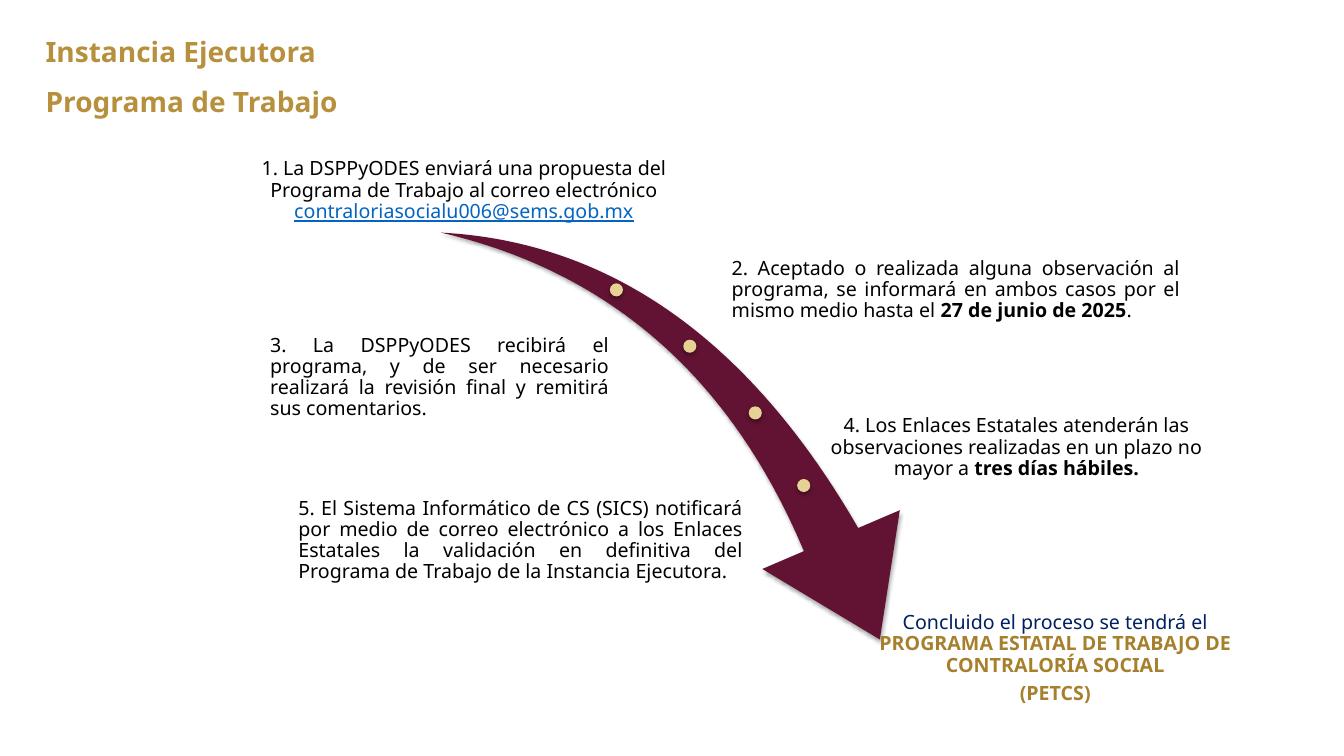
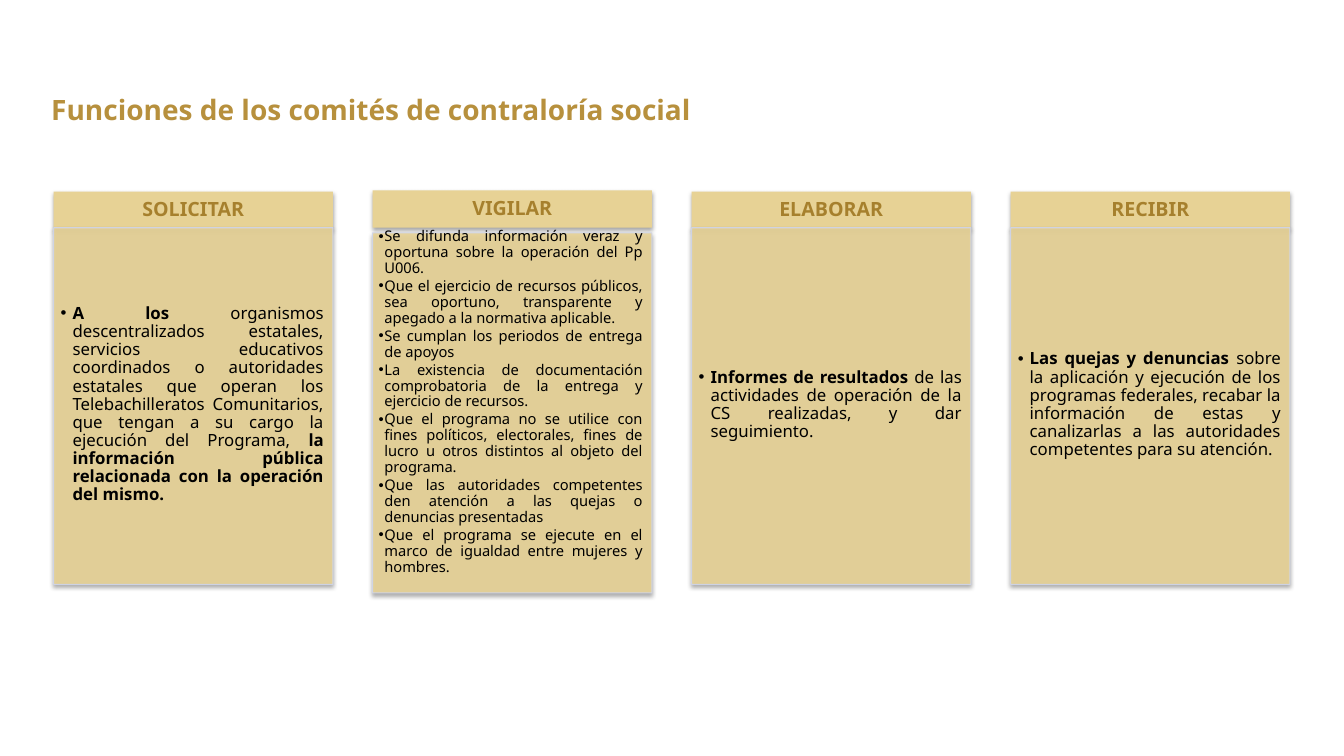
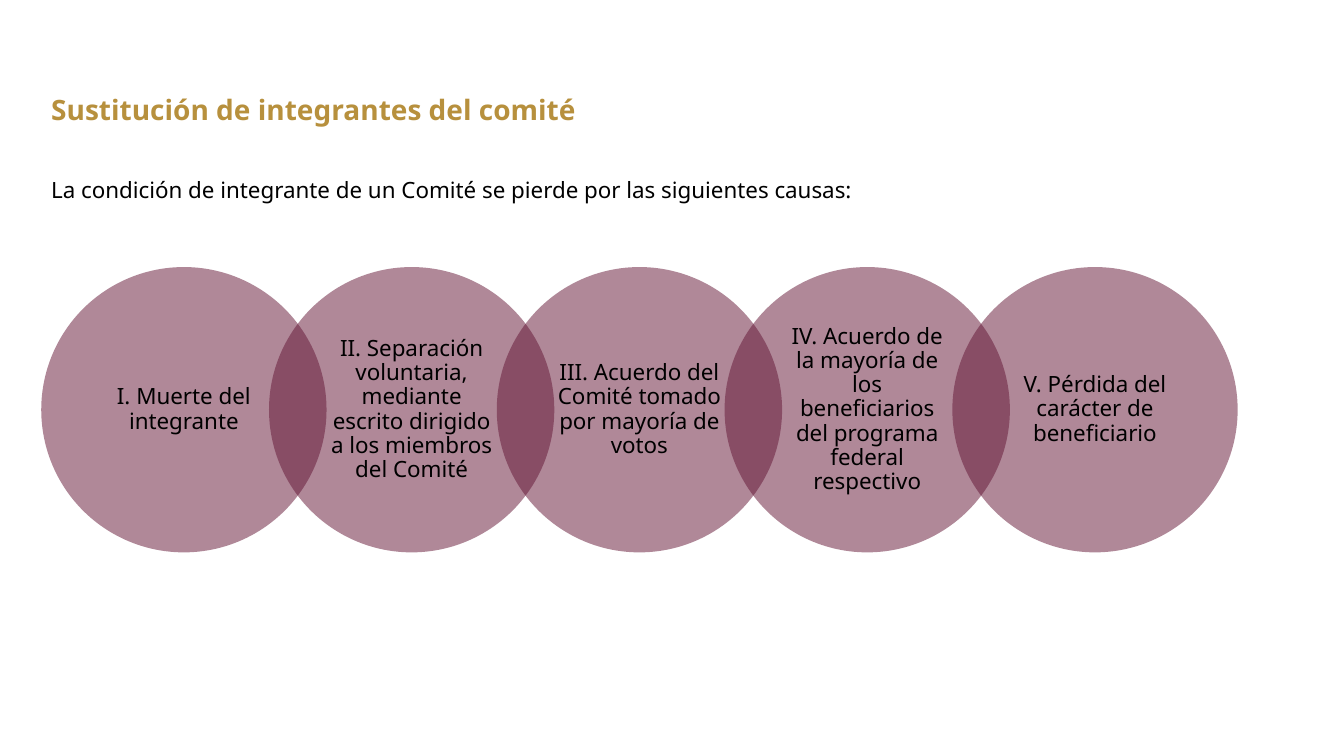
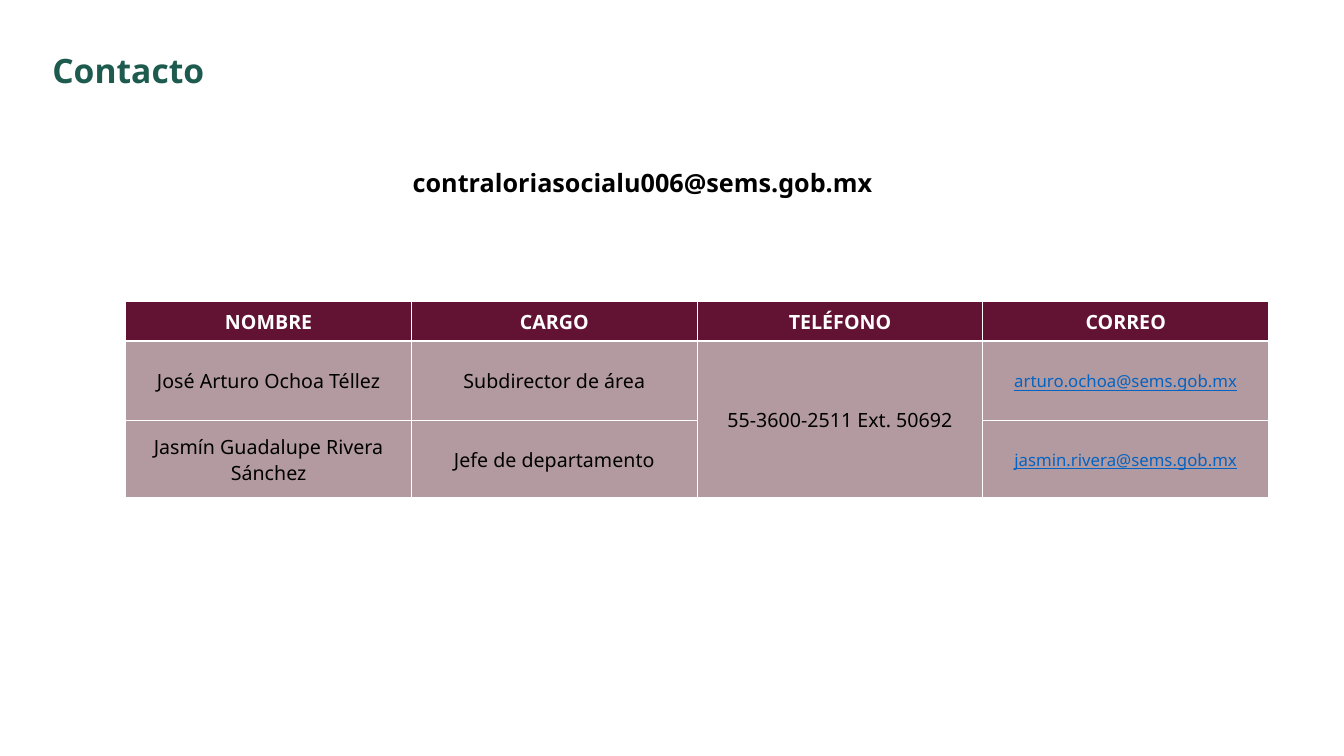
from lxml import etree
from pptx import Presentation
from pptx.dml.color import RGBColor
from pptx.enum.shapes import MSO_SHAPE
from pptx.enum.text import MSO_ANCHOR, PP_ALIGN
from pptx.oxml.ns import qn
from pptx.util import Cm, Pt

RECT, OVAL, SWOOSH = MSO_SHAPE.RECTANGLE, MSO_SHAPE.OVAL, MSO_SHAPE.SWOOSH_ARROW
TOP, MID, LOW = MSO_ANCHOR.TOP, MSO_ANCHOR.MIDDLE, MSO_ANCHOR.BOTTOM
LEFT, CENTER, FULL = PP_ALIGN.LEFT, PP_ALIGN.CENTER, PP_ALIGN.JUSTIFY

FONT = "Noto Sans"
BLACK = RGBColor(0x00, 0x00, 0x00)
WHITE = RGBColor(0xFF, 0xFF, 0xFF)
WINE = RGBColor(0x62, 0x13, 0x33)
ROSE = RGBColor(0xB2, 0x9A, 0xA0)
SAND = RGBColor(0xE7, 0xD2, 0x95)
GOLD = RGBColor(0xB7, 0x90, 0x3D)
OCHRE = RGBColor(0xA6, 0x80, 0x2D)
GREEN = RGBColor(0x1E, 0x5B, 0x4F)
NAVY = RGBColor(0x00, 0x20, 0x60)
BLUE = RGBColor(0x05, 0x63, 0xC1)
MIST = RGBColor(0xCF, 0xD5, 0xEA)

# Run styles: colour, bold, underline
PLAIN = (BLACK, False, False)
BOLD = (BLACK, True, False)
LINK = (BLUE, False, True)
TITLE = (GOLD, True, False)
HEAD = (OCHRE, True, False)
CLOSE = (NAVY, False, False)
CONTACT = (GREEN, True, False)
LABEL = (WHITE, True, False)

PAD = (0.25, 0.13, 0.25, 0.13)
THIN = (0.05, 0.05, 0.05, 0.05)


def write(item, paras, size, align=LEFT, anchor=TOP, pad=PAD, lines=1, after=0, hang=0):
    """Fill a shape or cell with paragraphs, each a list of (text, style) runs."""
    frame = item.text_frame
    host = item if hasattr(item, "vertical_anchor") else frame
    host.vertical_anchor = anchor
    host.margin_left, host.margin_top, host.margin_right, host.margin_bottom = map(Cm, pad)
    frame.word_wrap = True
    for i, runs in enumerate(paras):
        para = frame.add_paragraph() if i else frame.paragraphs[0]
        para.alignment = align
        para.line_spacing = lines
        para.space_after = Pt(after)
        if hang:
            props = para._p.get_or_add_pPr()
            props.set("marL", str(Cm(hang)))
            props.set("indent", str(-Cm(hang)))
            tint = etree.SubElement(props, qn("a:buClr"))
            etree.SubElement(tint, qn("a:srgbClr"), val=str(BLACK))
            etree.SubElement(props, qn("a:buFont"), typeface="Arial")
            etree.SubElement(props, qn("a:buChar"), char="•")
        for text, (color, bold, under) in runs:
            run = para.add_run()
            run.text = text
            run.font.name = FONT
            run.font.size = Pt(size)
            run.font.color.rgb = color
            run.font.bold = bold
            run.font.underline = under


def draw(slide, kind, at, fill, alpha=100, edge=None, shadow=True):
    """Add a filled shape, with optional transparency, edge and soft shadow."""
    shape = slide.shapes.add_shape(kind, *map(Cm, at))
    shape.fill.solid()
    shape.fill.fore_color.rgb = fill
    if edge is None:
        shape.line.fill.background()
    else:
        shape.line.color.rgb = edge
        shape.line.width = Pt(0.75)
    props = shape.element.spPr
    if alpha < 100:
        for color in list(props.iter(qn("a:srgbClr"))):
            etree.SubElement(color, qn("a:alpha"), val=str(alpha * 1000))
    shape.shadow.inherit = False
    if shadow:
        soft = etree.SubElement(
            props.find(qn("a:effectLst")), qn("a:outerShdw"), blurRad=str(Pt(3.1)),
            dist=str(Pt(1.8)), dir="5400000", rotWithShape="0")
        color = etree.SubElement(soft, qn("a:srgbClr"), val=str(BLACK))
        etree.SubElement(color, qn("a:alpha"), val="35000")
    return shape


deck = Presentation()
deck.slide_width, deck.slide_height = Cm(33.87), Cm(19.05)
blank = deck.slide_layouts[6]
plan, tasks, swap, reach = [deck.slides.add_slide(blank) for _ in range(4)]

# Titles of all slides
for slide, left, top, text, size, style in [
    (plan, 0.9, 0.75, "Instancia Ejecutora", 20, TITLE),
    (plan, 0.9, 2, "Programa de Trabajo", 20, TITLE),
    (tasks, 1.04, 2.2, "Funciones de los comités de contraloría social", 20, TITLE),
    (swap, 1.04, 2.2, "Sustitución de integrantes del comité", 20, TITLE),
    (reach, 1.07, 1.12, "Contacto", 24, CONTACT),
]:
    box = slide.shapes.add_textbox(Cm(left), Cm(top), Cm(16.95), Cm(size * 0.055))
    write(box, [[(text, style)]], size)

# Slide 1: work programme
arrow = draw(plan, SWOOSH, (10.82, 6.25, 13, 9.07), WINE)
arrow.rotation = 73.3
arrow.adjustments[0], arrow.adjustments[1] = 0.163, 0.314
for left, top in [(15.37, 7.14), (17.22, 8.56), (18.87, 10.24), (20.09, 12.07)]:
    draw(plan, OVAL, (left, top, 0.33, 0.33), SAND)

steps = [
    (5.74, 3.25, 11.91, CENTER, LOW, [[
        ("1. La DSPPyODES enviará una propuesta del Programa de Trabajo al correo electrónico ", PLAIN),
        ("contraloriasocialu006@sems.gob.mx", LINK)]]),
    (18.39, 6.1, 11.4, FULL, MID, [[
        ("2. Aceptado o realizada alguna observación al programa, se informará en ambos casos "
         "por el mismo medio hasta el ", PLAIN),
        ("27 de junio de 2025", BOLD), (".", PLAIN)]]),
    (6.76, 8.31, 8.64, FULL, MID, [[
        ("3. La DSPPyODES recibirá el programa, y de ser necesario realizará la revisión final "
         "y remitirá sus comentarios.", PLAIN)]]),
    (20.78, 10.08, 9.68, CENTER, MID, [[
        ("4. Los Enlaces Estatales atenderán las observaciones realizadas en un plazo no mayor a ", PLAIN),
        ("tres días hábiles.", BOLD)]]),
    (7.47, 12.42, 11.3, FULL, MID, [[
        ("5. El Sistema Informático de CS (SICS) notificará por medio de correo electrónico a los "
         "Enlaces Estatales la validación en definitiva del Programa de Trabajo de la Instancia "
         "Ejecutora.", PLAIN)]]),
    (22.05, 15.39, 9.09, CENTER, TOP, [
        [("Concluido el proceso se tendrá el ", CLOSE),
         ("PROGRAMA ESTATAL DE TRABAJO DE CONTRALORÍA SOCIAL", HEAD)],
        [("(PETCS)", HEAD)]]),
]
for left, top, width, align, anchor, paras in steps:
    box = plan.shapes.add_textbox(Cm(left), Cm(top), Cm(width), Cm(2.41))
    write(box, paras, 14, align, anchor, THIN, 0.9, 5)

# Slide 2: duties of the committees
duties = [
    ("SOLICITAR", [[
        ("A los ", BOLD),
        ("organismos descentralizados estatales, servicios educativos coordinados o autoridades "
         "estatales que operan los Telebachilleratos Comunitarios, que tengan a su cargo la "
         "ejecución del Programa, ", PLAIN),
        ("la información pública relacionada con la operación del mismo.", BOLD)]]),
    ("VIGILAR", [[(text, PLAIN)] for text in (
        "Se difunda información veraz y oportuna sobre la operación del Pp U006.",
        "Que el ejercicio de recursos públicos, sea oportuno, transparente y apegado a la "
        "normativa aplicable.",
        "Se cumplan los periodos de entrega de apoyos",
        "La existencia de documentación comprobatoria de la entrega y ejercicio de recursos.",
        "Que el programa no se utilice con fines políticos, electorales, fines de lucro u otros "
        "distintos al objeto del programa.",
        "Que las autoridades competentes den atención a las quejas o denuncias presentadas",
        "Que el programa se ejecute en el marco de igualdad entre mujeres y hombres.")]),
    ("ELABORAR", [[
        ("Informes de resultados ", BOLD),
        ("de las actividades de operación de la CS realizadas, y dar seguimiento.", PLAIN)]]),
    ("RECIBIR", [[
        ("Las quejas y denuncias ", BOLD),
        ("sobre la aplicación y ejecución de los programas federales, recabar la información de "
         "estas y canalizarlas a las autoridades competentes para su atención.", PLAIN)]]),
]
for i, (name, paras) in enumerate(duties):
    left = 1.35 + i * 8.04
    if len(paras) > 1:
        top, start, height = 4.8, 5.87, 9.07
        size, hang, pad = 10.5, 0.15, (0.15, 0.15, 0.23, 0.69)
    else:
        top, start, height = 4.83, 5.74, 8.99
        size, hang, pad = 12, 0.3, (0.18, 0.18, 0.23, 0.25)
    band = draw(tasks, RECT, (left, top, 7.04, 0.94), SAND)
    write(band, [[(name, HEAD)]], 14, CENTER, MID, (0.28, 0.15, 0.28, 0.15), 0.9)
    card = draw(tasks, RECT, (left, start, 7.04, height), SAND, 90, MIST)
    write(card, paras, size, FULL, MID, pad, 0.9, size * 0.15, hang)

# Slide 3: causes of replacement
box = swap.shapes.add_textbox(Cm(1.04), Cm(4.32), Cm(30.15), Cm(0.93))
lead = "La condición de integrante de un Comité se pierde por las siguientes causas:"
write(box, [[(lead, PLAIN)]], 16, FULL)
causes = [
    "I. Muerte del integrante",
    "II. Separación voluntaria, mediante escrito dirigido a los miembros del Comité",
    "III. Acuerdo del Comité tomado por mayoría de votos",
    "IV. Acuerdo de la mayoría de los beneficiarios del programa federal respectivo",
    "V. Pérdida del carácter de beneficiario",
]
for i, text in enumerate(causes):
    disc = draw(swap, OVAL, (1.04 + i * 5.79 * 0.9914, 6.73, 7.19, 7.19), WINE, 50, shadow=False)
    write(disc, [[(text, PLAIN)]], 16, CENTER, MID, (0.41, 0.05, 0.41, 0.05), 0.9)

# Slide 4: contact table
box = reach.shapes.add_textbox(Cm(6.63), Cm(4.09), Cm(19.13), Cm(1.02))
write(box, [[("contraloriasocialu006@sems.gob.mx", BOLD)]], 18, CENTER)
rows = [
    ("NOMBRE", "CARGO", "TELÉFONO", "CORREO"),
    ("José Arturo Ochoa Téllez", "Subdirector de área", "55-3600-2511 Ext. 50692",
     "arturo.ochoa@sems.gob.mx"),
    ("Jasmín Guadalupe Rivera Sánchez", "Jefe de departamento", "", "jasmin.rivera@sems.gob.mx"),
]
grid = reach.shapes.add_table(3, 4, Cm(3.17), Cm(7.6), Cm(28.8), Cm(4.95)).table
for col in grid.columns:
    col.width = Cm(7.2)
for r, (height, texts) in enumerate(zip((0.99, 2.01, 1.95), rows)):
    grid.rows[r].height = Cm(height)
    for c, text in enumerate(texts):
        cell = grid.cell(r, c)
        props = cell._tc.get_or_add_tcPr()
        for side in "LRTB":
            wide = 1.5 if (r, side) in ((0, "B"), (1, "T")) else 1
            line = etree.SubElement(props, qn("a:ln" + side), w=str(Pt(wide)))
            paint = etree.SubElement(line, qn("a:solidFill"))
            etree.SubElement(paint, qn("a:srgbClr"), val=str(WHITE))
        cell.fill.solid()
        cell.fill.fore_color.rgb = ROSE if r else WINE
        style = LABEL if r == 0 else LINK if c == 3 else PLAIN
        if text:
            write(cell, [[(text, style)]], 12 if style == LINK else 14, CENTER, MID,
                  (0.03, 0.03, 0.03, 0))
grid.cell(1, 2).merge(grid.cell(2, 2))

deck.save("out.pptx")
